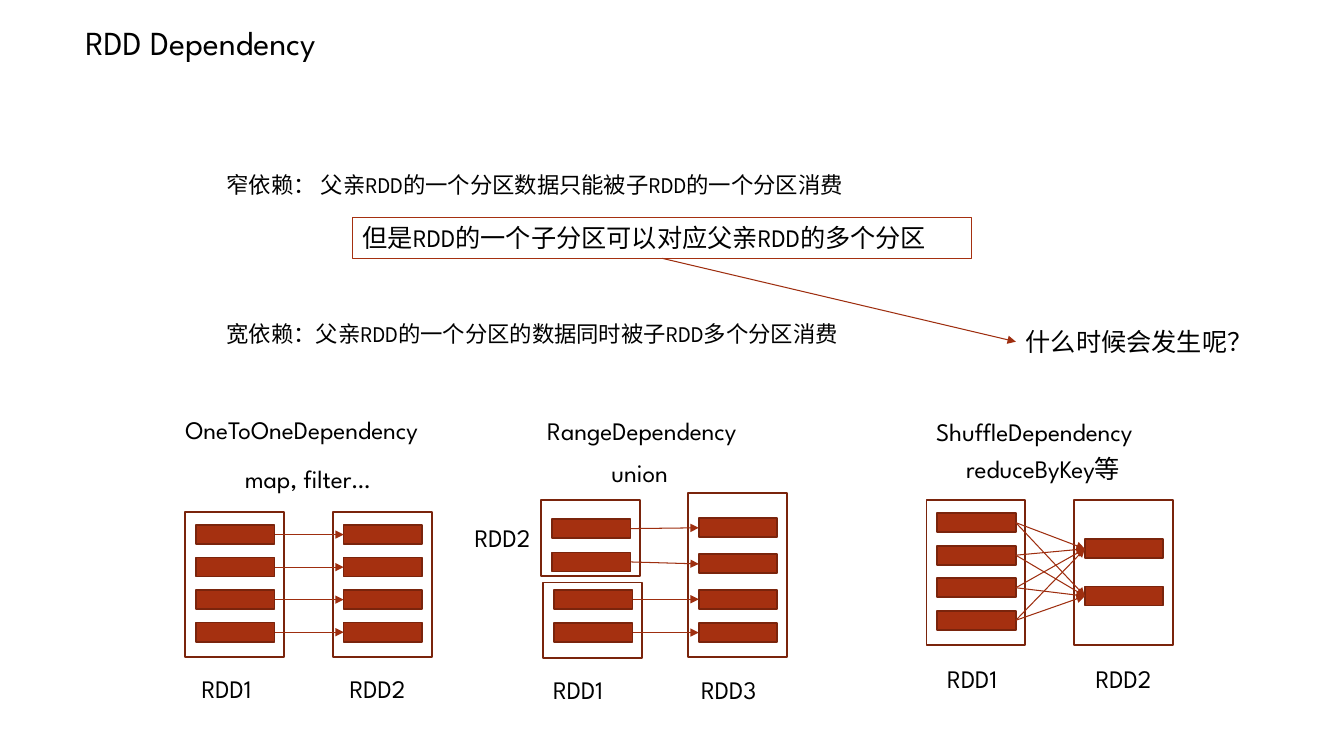
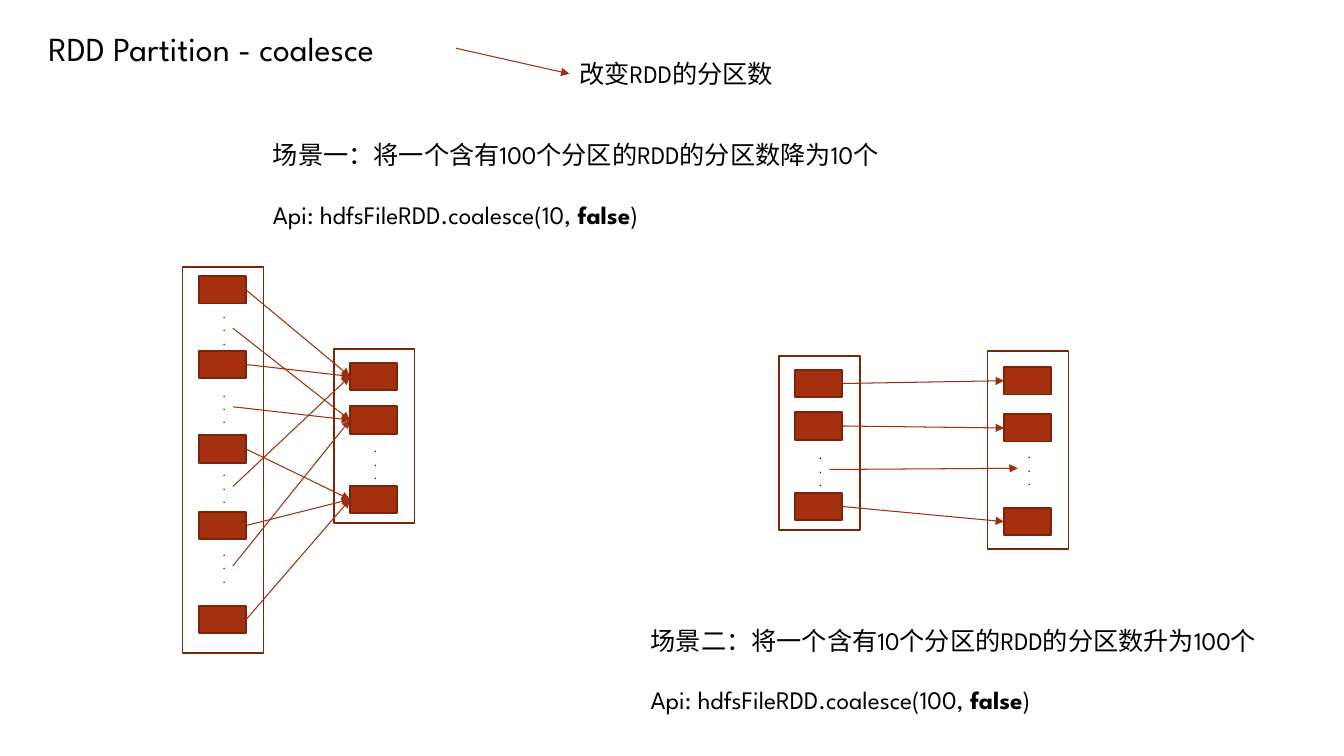
import lxml.etree
import pptx
import pptx.dml.color
import pptx.enum.shapes
import pptx.enum.text
import pptx.oxml.ns
import pptx.util

Cm, Pt = pptx.util.Cm, pptx.util.Pt
RGBColor = pptx.dml.color.RGBColor

BLACK = RGBColor(0x00, 0x00, 0x00)
RUST = RGBColor(0xA5, 0x30, 0x10)
DARK_RUST = RGBColor(0x7A, 0x24, 0x0C)
ARROW_RUST = RGBColor(0x9E, 0x2E, 0x0F)
FONT = "League Spartan"
TITLE_SIZE, BODY_SIZE, NOTE_SIZE, DOT_SIZE = 24, 18, 16, 8
BOTTOM, LEFT, RIGHT = 2, 1, 3
BLOCK, DOTS = "block", "dots"

# All lengths are in centimetres.
WIDE = {"box_width": 2.49, "block": (1.98, 0.48), "inset": 0.27}
NARROW = {"box_width": 2.04, "block": (1.19, 0.69), "inset": 0.41}
DOTS_SIZE = (0.51, 1.3)
DOTS_INSET = 0.76


def blocks(*tops):
    return [(BLOCK, top) for top in tops]


def even_blocks(first, count=4, pitch=0.82):
    return blocks(*(first + pitch * i for i in range(count)))


# Each RDD: box left, top, height, and its partitions as (kind, top).
# Each link: (parent partition, child partition).
ONE_TO_ONE = [(i, i) for i in range(4)]
DEPENDENCIES = [
    {"parents": [(4.67, 12.9, 3.66, even_blocks(13.23))],
     "child": (8.39, 12.9, 3.66, even_blocks(13.23)),
     "links": ONE_TO_ONE},
    {"parents": [(13.64, 12.6, 1.91, blocks(13.08, 13.92)),
                 (13.69, 14.68, 1.91, blocks(14.86, 15.7))],
     "child": (17.34, 12.43, 4.12, blocks(13.06, 13.97, 14.86, 15.7)),
     "links": ONE_TO_ONE},
    {"parents": [(23.35, 12.6, 3.66, even_blocks(12.93))],
     "child": (27.07, 12.6, 3.66, blocks(13.59, 14.78)),
     "links": [(i, j) for i in range(4) for j in range(2)]},
]
COALESCES = [
    {"parents": [(4.6, 6.73, 9.73, [
        (BLOCK, 6.96), (DOTS, 7.62), (BLOCK, 8.84), (DOTS, 9.6),
        (BLOCK, 10.97), (DOTS, 11.61), (BLOCK, 12.9), (DOTS, 13.61),
        (BLOCK, 15.27)])],
     "child": (8.41, 8.79, 4.39, [
         (BLOCK, 9.14), (BLOCK, 10.24), (DOTS, 11.0), (BLOCK, 12.24)]),
     "links": [(0, 0), (2, 0), (5, 0), (1, 1), (3, 1), (7, 1),
               (4, 3), (6, 3), (8, 3)]},
    {"parents": [(19.63, 8.97, 4.39, [
        (BLOCK, 9.32), (BLOCK, 10.39), (DOTS, 11.18), (BLOCK, 12.42)])],
     "child": (24.89, 8.84, 5.0, [
         (BLOCK, 9.25), (BLOCK, 10.44), (DOTS, 11.15), (BLOCK, 12.8)]),
     "links": ONE_TO_ONE},
]

# Text, left, top, width
DEPENDENCY_LABELS = [
    ("OneToOneDependency", 4.42, 10.31, 8.08),
    ("map, filter…", 5.92, 11.56, 4.27),
    ("RangeDependency", 13.54, 10.34, 6.73),
    ("union", 15.16, 11.4, 2.01),
    ("ShuffleDependency", 23.34, 10.36, 6.71),
    ("reduceByKey等", 24.1, 11.3, 5.28),
    ("RDD1", 4.83, 16.84, 2.21),
    ("RDD2", 8.56, 16.84, 2.21),
    ("RDD1", 13.69, 16.87, 2.21),
    ("RDD3", 17.42, 16.87, 2.21),
    ("RDD1", 23.62, 16.59, 2.21),
    ("RDD2", 27.36, 16.59, 2.21),
    ("RDD2", 11.71, 13.03, 2.21),
]
DEPENDENCY_NOTES = [
    ("窄依赖： 父亲RDD的一个分区数据只能被子RDD的一个分区消费", 5.46, 4.19, 16.74),
    ("宽依赖：父亲RDD的一个分区的数据同时被子RDD多个分区消费", 5.46, 7.95, 16.59),
]
# Description, partition count in the call, left, top
SCENARIOS = [
    ("场景一：将一个含有100个分区的RDD的分区数降为10个", 10, 6.63, 3.38),
    ("场景二：将一个含有10个分区的RDD的分区数升为100个", 100, 16.15, 15.62),
]
SCENARIO_WIDTH, CALL_OFFSET = 16.46, 1.51


def add_text(slide, text, left, top, width, height=1.02, size=BODY_SIZE, border=None):
    """Add a text box; text is a string or a list of paragraphs of (words, bold) runs."""
    paragraphs = [[(text, None)]] if isinstance(text, str) else text
    box = slide.shapes.add_textbox(Cm(left), Cm(top), Cm(width), Cm(height))
    frame = box.text_frame
    frame.word_wrap = True
    frame.auto_size = pptx.enum.text.MSO_AUTO_SIZE.SHAPE_TO_FIT_TEXT
    for number, runs in enumerate(paragraphs):
        paragraph = frame.add_paragraph() if number else frame.paragraphs[0]
        for words, bold in runs:
            run = paragraph.add_run()
            run.text = words
            run.font.name = FONT
            run.font.size = Pt(size)
            run.font.bold = bold
            run.font.color.rgb = BLACK
    if border is not None:
        box.line.color.rgb = border
        box.line.width = Pt(0.75)
    return box


def add_title(slide, text, left, top, width):
    return add_text(slide, text, left, top, width, height=1.27, size=TITLE_SIZE)


def add_rectangle(slide, left, top, width, height, fill=None):
    rectangle = slide.shapes.add_shape(
        pptx.enum.shapes.MSO_SHAPE.RECTANGLE, Cm(left), Cm(top), Cm(width), Cm(height))
    rectangle.shadow.inherit = False
    if fill is None:
        rectangle.fill.background()
    else:
        rectangle.fill.solid()
        rectangle.fill.fore_color.rgb = fill
    rectangle.line.color.rgb = DARK_RUST
    rectangle.line.width = Pt(1.25)
    return rectangle


def add_arrow(slide, start, end, start_side=RIGHT):
    arrow = slide.shapes.add_connector(
        pptx.enum.shapes.MSO_CONNECTOR.STRAIGHT, 0, 0, 0, 0)
    arrow.begin_connect(start, start_side)
    arrow.end_connect(end, LEFT)
    arrow.line.color.rgb = ARROW_RUST
    arrow.line.width = Pt(0.75)
    qn = pptx.oxml.ns.qn
    lxml.etree.SubElement(arrow.line._get_or_add_ln(), qn("a:tailEnd"), type="triangle")
    lxml.etree.SubElement(arrow._element.spPr, qn("a:effectLst"))


def add_rdd(slide, rdd, style):
    """Draw an RDD box and return its partitions from top to bottom."""
    left, top, height, partitions = rdd
    add_rectangle(slide, left, top, style["box_width"], height)
    drawn = []
    for kind, partition_top in partitions:
        if kind == BLOCK:
            drawn.append(add_rectangle(
                slide, left + style["inset"], partition_top, *style["block"], fill=RUST))
        else:
            drawn.append(add_text(
                slide, [[(".", None)]] * 3, left + DOTS_INSET, partition_top,
                *DOTS_SIZE, size=DOT_SIZE))
    return drawn


def add_diagram(slide, diagram, style):
    parents = [partition for rdd in diagram["parents"]
               for partition in add_rdd(slide, rdd, style)]
    children = add_rdd(slide, diagram["child"], style)
    for parent, child in diagram["links"]:
        add_arrow(slide, parents[parent], children[child])


def build_dependency_slide(slide):
    add_title(slide, "RDD Dependency", 1.9, 0.43, 8.08)
    for diagram in DEPENDENCIES:
        add_diagram(slide, diagram, WIDE)
    for label in DEPENDENCY_LABELS:
        add_text(slide, *label)
    for note in DEPENDENCY_NOTES:
        add_text(slide, *note, height=0.94, size=NOTE_SIZE)
    exception = add_text(slide, "但是RDD的一个子分区可以对应父亲RDD的多个分区",
                         8.89, 5.49, 15.6, border=RUST)
    question = add_text(slide, "什么时候会发生呢？", 25.6, 8.1, 6.4)
    add_arrow(slide, exception, question, start_side=BOTTOM)


def build_coalesce_slide(slide):
    title = add_title(slide, "RDD Partition - coalesce", 0.97, 0.58, 10.52)
    purpose = add_text(slide, "改变RDD的分区数", 14.35, 1.35, 5.69)
    add_arrow(slide, title, purpose)
    for description, count, left, top in SCENARIOS:
        add_text(slide, description, left, top, SCENARIO_WIDTH)
        call = [(f"Api: hdfsFileRDD.coalesce({count}, ", None), ("false", True), (")", False)]
        add_text(slide, [call], left, top + CALL_OFFSET, 12.37)
    for diagram in COALESCES:
        add_diagram(slide, diagram, NARROW)


def main():
    deck = pptx.Presentation()
    deck.slide_width, deck.slide_height = Cm(33.87), Cm(19.05)
    blank = deck.slide_layouts[6]
    for build in (build_dependency_slide, build_coalesce_slide):
        build(deck.slides.add_slide(blank))
    deck.save("out.pptx")


if __name__ == "__main__":
    main()
